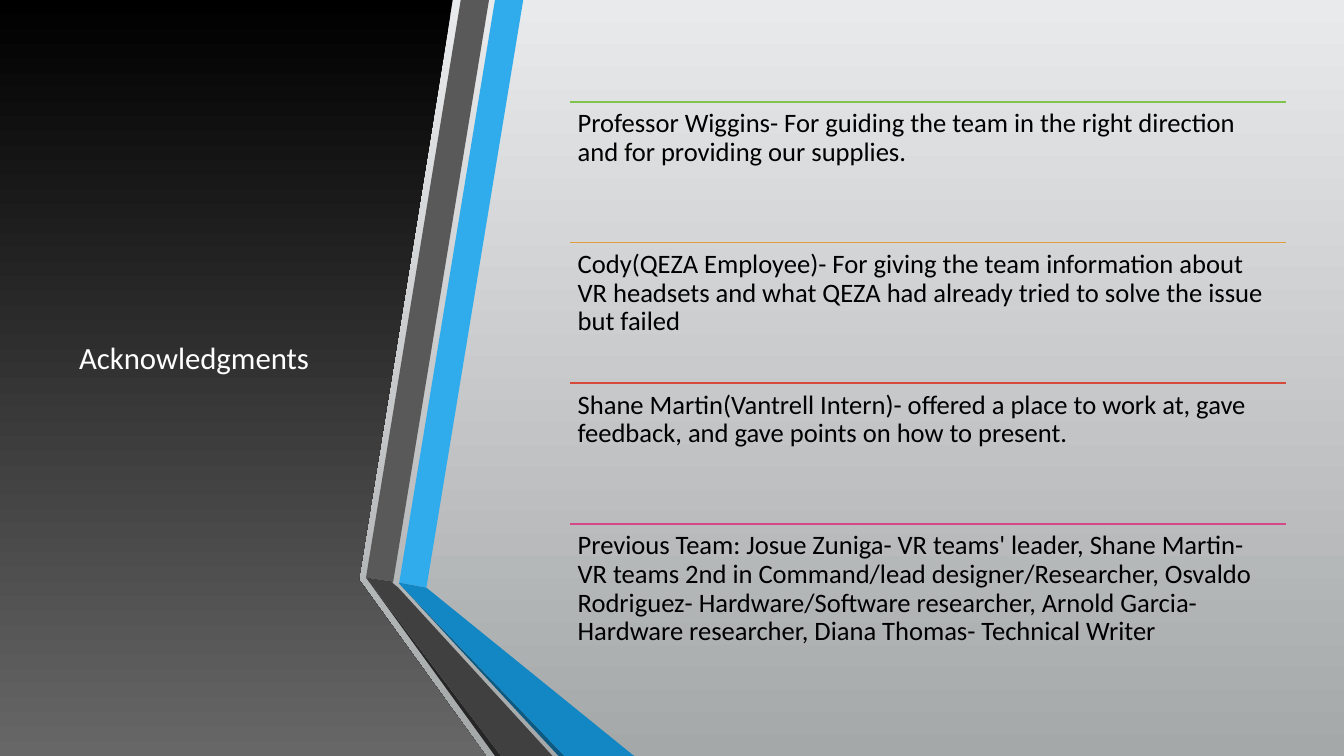
from dataclasses import dataclass

from lxml.etree import SubElement
from pptx import Presentation
from pptx.dml.color import RGBColor as Rgb
from pptx.enum.shapes import MSO_CONNECTOR as Connector
from pptx.enum.text import MSO_ANCHOR as Anchor, PP_ALIGN as Align
from pptx.oxml.ns import qn
from pptx.util import Inches, Pt

TITLE = "Acknowledgments"
THANKS = [
    ("Professor Wiggins- For guiding the team in the right direction "
     "and for providing our supplies.", "80C34F"),
    ("Cody(QEZA Employee)- For giving the team information about VR headsets "
     "and what QEZA had already tried to solve the issue but failed", "E29D3E"),
    ("Shane Martin(Vantrell Intern)- offered a place to work at, gave feedback, "
     "and gave points on how to present.", "D64A3B"),
    ("Previous Team: Josue Zuniga- VR teams' leader, Shane Martin- VR teams 2nd "
     "in Command/lead designer/Researcher, Osvaldo Rodriguez- Hardware/Software "
     "researcher, Arnold Garcia- Hardware researcher, Diana Thomas- Technical Writer",
     "D64787"),
]
PANEL = [(0, 0), (4.49, 0), (3.56, 5.75), (4.82, 7.5), (0, 7.5)]
RIBBONS = [
    ("30ACEC", [(3.96, 5.78), (4.23, 5.83), (5.19, 0), (4.91, 0)]),
    ("595959", [(4.85, 0), (4.57, 0), (3.63, 5.73), (3.9, 5.77)]),
    ("262626", [(3.63, 5.73), (4.91, 7.5), (4.97, 7.5)]),
    ("0C5A82", [(3.96, 5.79), (5.54, 7.5), (5.6, 7.5)]),
    ("1287C3", [(3.96, 5.79), (5.6, 7.5), (6.29, 7.5), (4.23, 5.83), (3.96, 5.78)]),
    ("404040", [(5.48, 7.5), (3.95, 5.83), (3.89, 5.78), (3.9, 5.77),
                (3.63, 5.73), (4.97, 7.5)]),
]


@dataclass(frozen=True)
class Theme:
    font: str = "Calibri"
    title_size: float = 22
    body_size: float = 19
    title_color: str = "FFFFFF"
    body_color: str = "010000"
    backdrop: tuple = ("E9EAEB", "A5A8A9")
    panel: tuple = ("000000", "676767")
    rule_width: float = 1.25


theme = Theme()
LIST_LEFT, LIST_TOP, LIST_WIDTH, ROW_HEIGHT = 5.65, 1.01, 7.1, 1.395


def fade_down(fill, colors):
    fill.gradient()
    fill.gradient_angle = 270
    for stop, color in zip(fill.gradient_stops, colors):
        stop.color.rgb = Rgb.from_string(color)


def add_outline(slide, points):
    corners = [(Inches(x), Inches(y)) for x, y in points]
    builder = slide.shapes.build_freeform(*corners[0])
    builder.add_line_segments(corners[1:], close=True)
    outline = builder.convert_to_shape()
    outline.shadow.inherit = False
    outline.line.fill.background()
    return outline


def add_rule(slide, left, top, width, color):
    rule = slide.shapes.add_connector(
        Connector.STRAIGHT, Inches(left), Inches(top), Inches(left + width), Inches(top))
    rule.line.color.rgb = Rgb.from_string(color)
    rule.line.width = Pt(theme.rule_width)
    SubElement(rule._element.spPr, qn("a:effectLst"))


def add_text(slide, text, box, *, size, color, align=Align.LEFT,
             anchor=Anchor.TOP, spacing=1.0, inset=0.08):
    frame = slide.shapes.add_textbox(*map(Inches, box)).text_frame
    frame.word_wrap = True
    frame.vertical_anchor = anchor
    frame.margin_left = frame.margin_right = Inches(inset)
    frame.margin_top = frame.margin_bottom = Inches(inset)
    paragraph = frame.paragraphs[0]
    paragraph.alignment = align
    paragraph.line_spacing = spacing
    run = paragraph.add_run()
    run.text = text
    run.font.name = theme.font
    run.font.size = Pt(size)
    run.font.color.rgb = Rgb.from_string(color)


def main():
    deck = Presentation()
    deck.slide_width, deck.slide_height = Inches(13.33), Inches(7.5)
    slide = deck.slides.add_slide(deck.slide_layouts[6])
    fade_down(slide.background.fill, theme.backdrop)
    fade_down(add_outline(slide, PANEL).fill, theme.panel)
    add_text(slide, TITLE, (0.48, 0.75, 2.89, 5.58), size=theme.title_size,
             color=theme.title_color, align=Align.CENTER, anchor=Anchor.MIDDLE)

    for color, points in RIBBONS:
        ribbon = add_outline(slide, points)
        ribbon.fill.solid()
        ribbon.fill.fore_color.rgb = Rgb.from_string(color)

    for row, (thanks, color) in enumerate(THANKS):
        top = LIST_TOP + row * ROW_HEIGHT
        add_rule(slide, LIST_LEFT, top, LIST_WIDTH, color)
        add_text(slide, thanks, (LIST_LEFT, top, LIST_WIDTH, ROW_HEIGHT),
                 size=theme.body_size, color=theme.body_color, spacing=0.9)

    deck.save("out.pptx")


if __name__ == "__main__":
    main()
